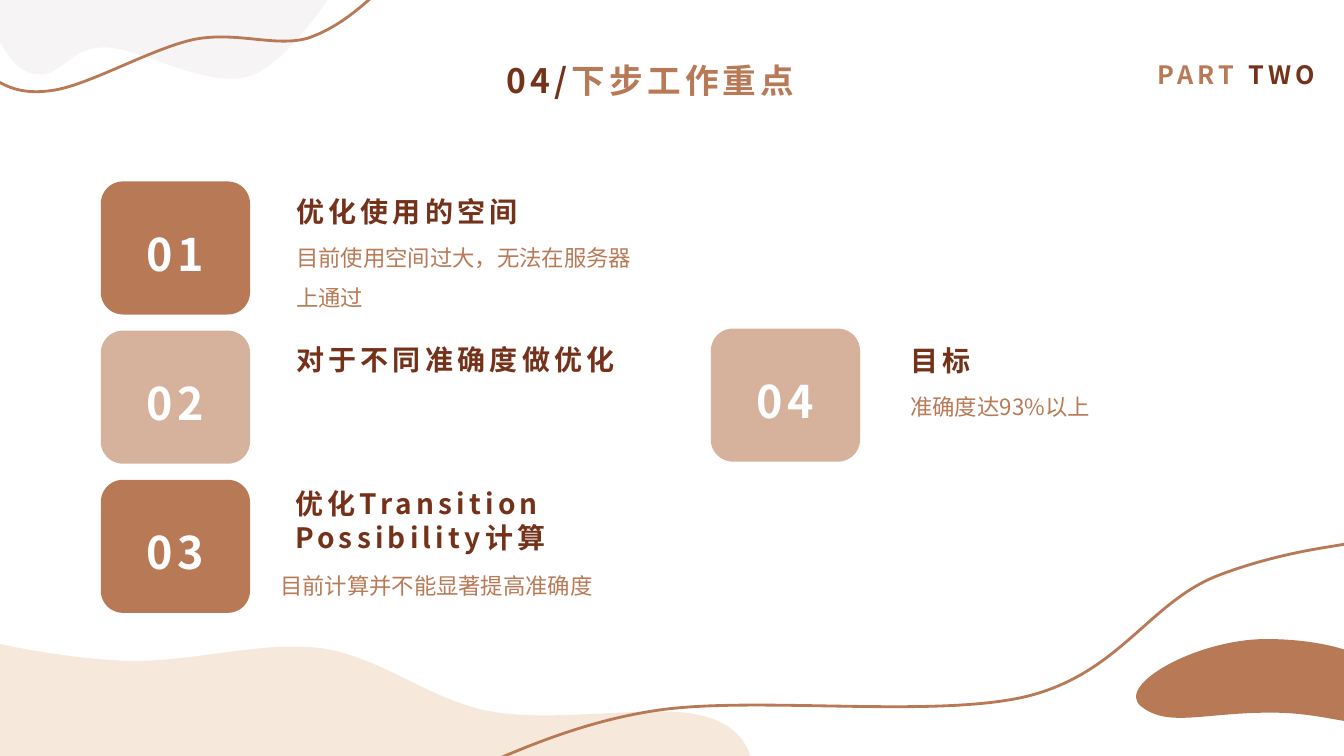
from dataclasses import dataclass
from typing import Any, Optional

import lxml.etree
import pptx
import pptx.dml.color
import pptx.enum.shapes
import pptx.enum.text
import pptx.oxml.ns
import pptx.util

RGBColor = pptx.dml.color.RGBColor
PP_ALIGN = pptx.enum.text.PP_ALIGN
ANCHOR = pptx.enum.text.MSO_ANCHOR
qn = pptx.oxml.ns.qn

PX = 9144
FONT = "Noto Sans CJK SC"
COPPER = RGBColor(0xB8, 0x7A, 0x56)
ROSE = RGBColor(0xD6, 0xB2, 0x9D)
UMBER = RGBColor(0x75, 0x32, 0x1A)
CREAM = RGBColor(0xF6, 0xE9, 0xDB)
MIST = RGBColor(0xF6, 0xF4, 0xF5)
WHITE = RGBColor(0xFF, 0xFF, 0xFF)


@dataclass
class Style:
    size: int
    bold: bool = True
    spacing: int = 300
    line_spacing: Optional[float] = None
    align: Optional[PP_ALIGN] = None


TITLE = Style(24, align=PP_ALIGN.CENTER)
PART = Style(18, align=PP_ALIGN.CENTER)
NUMBER = Style(32, line_spacing=1.2, align=PP_ALIGN.CENTER)
HEADING = Style(20)
DETAIL = Style(16, bold=False, spacing=0, line_spacing=1.5)


@dataclass
class Card:
    number: str
    x: int
    y: int
    fill: RGBColor


@dataclass
class Label:
    x: int
    y: int
    w: int
    h: int
    style: Style
    runs: list[tuple[str, RGBColor]]


@dataclass
class Wave:
    box: tuple[int, int, int, int]
    start: tuple[int, int]
    segments: list[tuple[int, ...]]
    fill: Optional[RGBColor] = None


CARDS = [
    Card(f"{i + 1:02d}", 100, 180 + 148 * i, ROSE if i % 2 else COPPER)
    for i in range(3)
] + [Card("04", 705, 326, ROSE)]

WAVES = [
    Wave((-2, -2, 329, 80), (-2, -2), [
        (327, -2), (325, 0),
        (304, 30, 275, 66, 249, 75), (207, 90, 139, 47, 104, 47),
        (69, 47, 63, 74, 39, 74), (23, 74, 12, 62, 2, 45), (-2, 39),
    ], MIST),
    Wave((-5, -6, 377, 97), (-5, -6), [
        (371, -6), (368, -2),
        (349, 15, 329, 30, 305, 38), (273, 47, 235, 31, 193, 39),
        (150, 48, 86, 86, 50, 90), (28, 93, 13, 89, 0, 82), (-5, 78),
    ]),
    Wave((0, 639, 746, 117), (0, 639), [
        (0, 756), (746, 756), (746, 755),
        (740, 736, 730, 717, 692, 709), (649, 699, 551, 717, 488, 706),
        (426, 695, 380, 652, 318, 643), (256, 635, 183, 660, 114, 655),
        (80, 653, 45, 648, 10, 641),
    ], CREAM),
    Wave((472, 539, 867, 223), (1339, 539), [
        (1339, 762), (472, 762), (480, 759),
        (523, 740, 583, 715, 650, 705), (747, 690, 925, 713, 1018, 691),
        (1111, 668, 1139, 598, 1208, 571), (1242, 558, 1278, 549, 1315, 543),
    ]),
    Wave((1126, 634, 255, 83), (1132, 701), [
        (1105, 680, 1187, 634, 1256, 634), (1324, 634, 1394, 655, 1380, 701),
        (1364, 734, 1330, 707, 1261, 707), (1193, 707, 1159, 722, 1132, 701),
    ], COPPER),
]

TITLE_LABEL = Label(436, 54, 418, 50, TITLE, [("04/", UMBER), ("下步工作重点", COPPER)])

LABELS = [
    Label(1135, 54, 182, 71, PART, [("PART ", COPPER), ("TWO", UMBER)]),
    Label(284, 188, 294, 44, HEADING, [("优化使用的空间", UMBER)]),
    Label(284, 224, 364, 87, DETAIL, [("目前使用空间过大，无法在服务器上通过", COPPER)]),
    Label(284, 335, 363, 44, HEADING, [("对于不同准确度做优化", UMBER)]),
    Label(283, 478, 310, 77, HEADING, [("优化Transition Possibility计算", UMBER)]),
    Label(268, 549, 364, 46, DETAIL, [("目前计算并不能显著提高准确度", COPPER)]),
    Label(893, 336, 294, 44, HEADING, [("目标", UMBER)]),
    Label(893, 372, 364, 46, DETAIL, [("准确度达93%以上", COPPER)]),
]


def apply(target: Any, values: dict[str, Any]) -> None:
    for name, value in values.items():
        setattr(target, name, value)


def place(sp: Any, x: int, y: int, w: int, h: int) -> None:
    apply(sp, {"left": x * PX, "top": y * PX, "width": w * PX, "height": h * PX})


def write(tf: Any, style: Style, runs: list[tuple[str, RGBColor]]) -> None:
    p = tf.paragraphs[0]
    apply(p, {"alignment": style.align, "line_spacing": style.line_spacing})
    for text, color in runs:
        r = p.add_run()
        r.text = text
        apply(r.font, {"size": pptx.util.Pt(style.size), "bold": style.bold, "name": FONT})
        r.font.color.rgb = color
        rpr = r.font._element
        if style.spacing:
            rpr.set("spc", str(style.spacing))
        lxml.etree.SubElement(rpr, qn("a:ea")).set("typeface", FONT)


def draw_card(shapes: Any, card: Card) -> None:
    sp = shapes.add_shape(
        pptx.enum.shapes.MSO_SHAPE.ROUNDED_RECTANGLE,
        card.x * PX, card.y * PX, 148 * PX, 132 * PX,
    )
    sp.shadow.inherit = False
    sp.fill.solid()
    sp.fill.fore_color.rgb = card.fill
    sp.line.fill.background()
    tf = sp.text_frame
    apply(tf, {f"margin_{side}": 0 for side in ("left", "top", "right", "bottom")})
    tf.vertical_anchor = ANCHOR.MIDDLE
    write(tf, NUMBER, [(card.number, WHITE)])


def bend(sp: Any, wave: Wave) -> None:
    x, y, w, h = wave.box
    place(sp, x, y, w, h)
    outline = next(sp._element.iter(qn("a:path")))
    outline.set("w", str(w * PX))
    outline.set("h", str(h * PX))
    for node in list(outline):
        outline.remove(node)
    for i, seg in enumerate([wave.start, *wave.segments]):
        tag = "a:moveTo" if i == 0 else "a:lnTo" if len(seg) == 2 else "a:cubicBezTo"
        node = lxml.etree.SubElement(outline, qn(tag))
        for px, py in zip(seg[::2], seg[1::2]):
            pt = lxml.etree.SubElement(node, qn("a:pt"))
            pt.set("x", str((px - x) * PX))
            pt.set("y", str((py - y) * PX))
    lxml.etree.SubElement(outline, qn("a:close"))


def draw_wave(shapes: Any, wave: Wave) -> None:
    builder = shapes.build_freeform(*wave.start, scale=PX)
    builder.add_line_segments([seg[-2:] for seg in wave.segments], close=True)
    sp = builder.convert_to_shape()
    bend(sp, wave)
    sp.shadow.inherit = False
    if wave.fill is None:
        sp.fill.background()
        sp.line.color.rgb = COPPER
        sp.line.width = pptx.util.Pt(2)
    else:
        sp.fill.solid()
        sp.fill.fore_color.rgb = wave.fill
        sp.line.fill.background()


def fill_label(sp: Any, label: Label) -> None:
    place(sp, label.x, label.y, label.w, label.h)
    apply(sp.text_frame, {
        "word_wrap": True,
        "auto_size": pptx.enum.text.MSO_AUTO_SIZE.SHAPE_TO_FIT_TEXT,
        "vertical_anchor": ANCHOR.TOP,
    })
    write(sp.text_frame, label.style, label.runs)


def main() -> None:
    prs = pptx.Presentation()
    prs.slide_width = 1333 * PX
    prs.slide_height = 750 * PX
    s = prs.slides.add_slide(prs.slide_layouts[5])
    for card in CARDS:
        draw_card(s.shapes, card)
    for wave in WAVES:
        draw_wave(s.shapes, wave)
    fill_label(s.shapes.title, TITLE_LABEL)
    for label in LABELS:
        fill_label(s.shapes.add_textbox(0, 0, 0, 0), label)
    prs.save("out.pptx")


if __name__ == "__main__":
    main()
